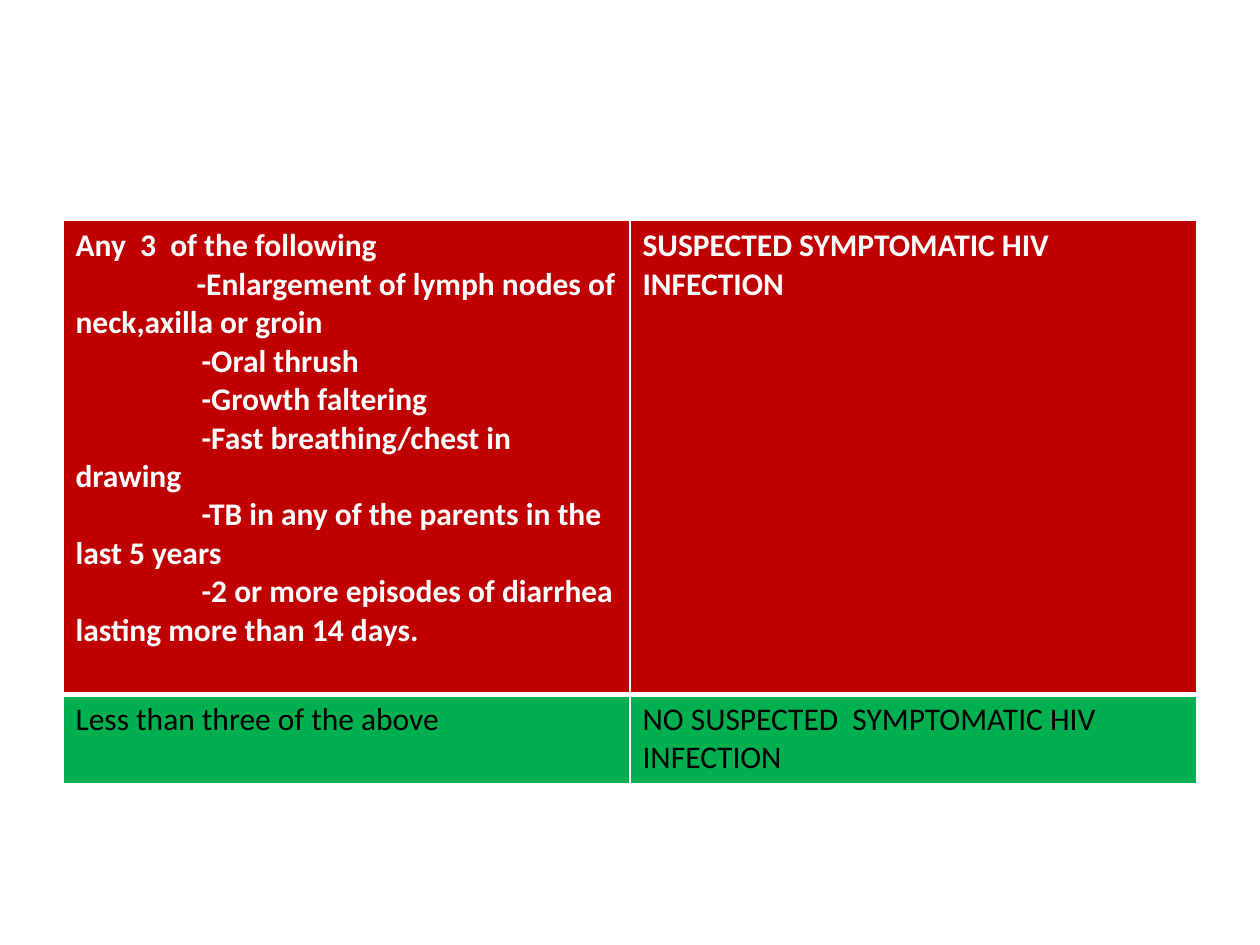
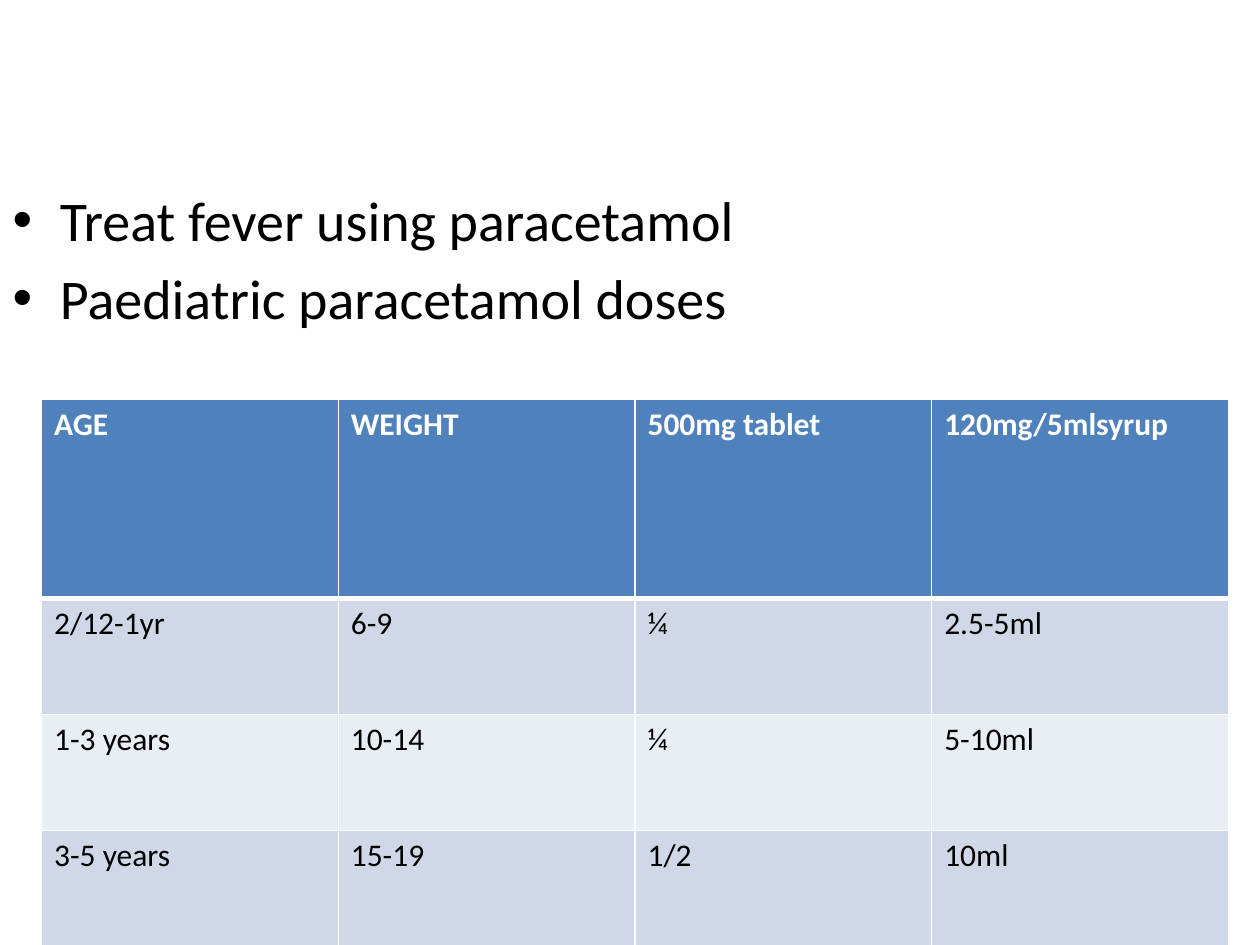
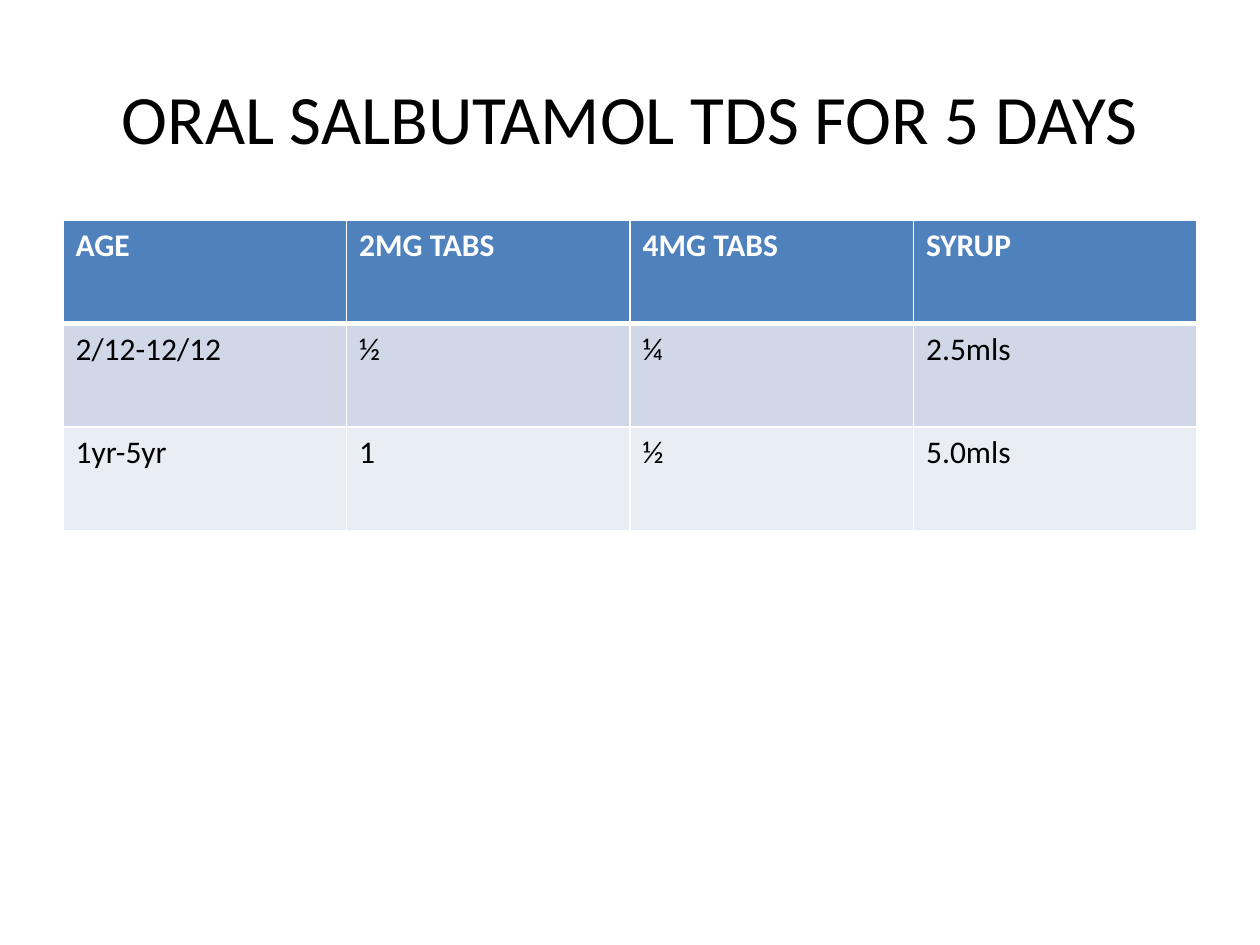
from lxml import etree
from pptx import Presentation
from pptx.dml.color import RGBColor
from pptx.enum.text import MSO_ANCHOR, MSO_AUTO_SIZE, PP_ALIGN
from pptx.oxml.ns import qn
from pptx.util import Inches, Pt

# Shared style
FONT = "Calibri"
BLACK = RGBColor(0x00, 0x00, 0x00)
WHITE = RGBColor(0xFF, 0xFF, 0xFF)
RED = RGBColor(0xC0, 0x00, 0x00)
GREEN = RGBColor(0x00, 0xB0, 0x50)
BLUE = RGBColor(0x4F, 0x81, 0xBD)
BANDS = [RGBColor(0xD0, 0xD8, 0xE8), RGBColor(0xE9, 0xED, 0xF4)]
HEAD_TEXT = dict(name=FONT, size=Pt(18), bold=True)
CELL_TEXT = dict(name=FONT, size=Pt(18), bold=False)
BODY_TEXT = dict(name=FONT, size=Pt(32))
TITLE_TEXT = dict(name=FONT, size=Pt(39.6))
THIN, THICK = 1, 3
LAYOUT_CONTENT, LAYOUT_TITLE_ONLY, LAYOUT_BLANK = 1, 5, 6

# Content: a cell is a string or a list of (first-line indent, text)
HIV_SIGNS = [
    (0, "Any  3  of the following"),
    (0.96, "-Enlargement of lymph nodes of neck,axilla or groin"),
    (1, "-Oral thrush"),
    (1, "-Growth faltering"),
    (1, "-Fast breathing/chest in drawing"),
    (1, "-TB in any of the parents in the last 5 years"),
    (1, "-2 or more episodes of diarrhea lasting more than 14 days."),
]
HIV_ROWS = [
    [HIV_SIGNS, "SUSPECTED SYMPTOMATIC HIV INFECTION"],
    ["Less than three of the above", "NO SUSPECTED  SYMPTOMATIC HIV INFECTION"],
]
FEVER_POINTS = ["Treat fever using paracetamol", "Paediatric paracetamol doses"]
PARACETAMOL_ROWS = [
    ["AGE", "WEIGHT", "500mg tablet", "120mg/5mlsyrup"],
    ["2/12-1yr", "6-9", "¼", "2.5-5ml"],
    ["1-3 years", "10-14", "¼", "5-10ml"],
    ["3-5 years", "15-19", "1/2", "10ml"],
]
SALBUTAMOL_TITLE = "ORAL SALBUTAMOL TDS FOR 5 DAYS"
SALBUTAMOL_ROWS = [
    ["AGE", "2MG TABS", "4MG TABS", "SYRUP"],
    ["2/12-12/12", "½", "¼", "2.5mls"],
    ["1yr-5yr", "1", "½", "5.0mls"],
]


def format_font(p, style, color):
    for name, value in style.items():
        setattr(p.font, name, value)
    p.font.color.rgb = color


def place(sp, left, top, width, height):
    sp.left, sp.top = Inches(left), Inches(top)
    sp.width, sp.height = Inches(width), Inches(height)


def set_borders(cell, top, bottom):
    tc_pr = cell._tc.get_or_add_tcPr()
    sides = {"a:lnL": THIN, "a:lnR": THIN, "a:lnT": top, "a:lnB": bottom}
    for i, (tag, width) in enumerate(sides.items()):
        ln = etree.Element(qn(tag), w=str(Pt(width)))
        fill = etree.SubElement(ln, qn("a:solidFill"))
        etree.SubElement(fill, qn("a:srgbClr"), val=str(WHITE))
        tc_pr.insert(i, ln)


def fill_cell(cell, content, style, color):
    lines = [(0, content)] if isinstance(content, str) else content
    tf = cell.text_frame
    for i, (indent, text) in enumerate(lines):
        p = tf.paragraphs[0] if i == 0 else tf.add_paragraph()
        if indent:
            p_pr = p._p.get_or_add_pPr()
            p_pr.set("marL", "0")
            p_pr.set("indent", str(Inches(indent)))
        p.add_run().text = text
        for r in p.runs:
            format_font(r, style, color)


def add_grid(s, rows, left, top, width, heights, head_fill, row_fills):
    """Add a table with equal columns, a header row and cycling row fills."""
    n_cols = len(rows[0])
    table = s.shapes.add_table(len(rows), n_cols, Inches(left), Inches(top),
                               Inches(width), Inches(sum(heights))).table
    for col in table.columns:
        col.width = Inches(width / n_cols)
    for i, (row, height) in enumerate(zip(rows, heights)):
        table.rows[i].height = Inches(height)
        head = i == 0
        for j, content in enumerate(row):
            cell = table.cell(i, j)
            cell.fill.solid()
            cell.fill.fore_color.rgb = head_fill if head else row_fills[(i - 1) % len(row_fills)]
            set_borders(cell, THICK if i == 1 else THIN, THICK if head else THIN)
            fill_cell(cell, content, HEAD_TEXT if head else CELL_TEXT, WHITE if head else BLACK)


def add_slide(prs, layout):
    return prs.slides.add_slide(prs.slide_layouts[layout])


def hiv_slide(prs):
    s = add_slide(prs, LAYOUT_BLANK)
    add_grid(s, HIV_ROWS, 0.5, 1.75, 9, [3.76, 0.7], RED, [GREEN])


def paracetamol_slide(prs):
    s = add_slide(prs, LAYOUT_CONTENT)
    title = s.shapes.title
    title.element.getparent().remove(title.element)
    body = s.placeholders[1]
    place(body, 0, 1.42, 9.83, 6.08)
    tf = body.text_frame
    tf.auto_size = MSO_AUTO_SIZE.NONE
    for i, text in enumerate(FEVER_POINTS):
        p = tf.paragraphs[0] if i == 0 else tf.add_paragraph()
        p.text = text
        format_font(p, BODY_TEXT, BLACK)
    tf.paragraphs[0].space_before = Pt(0)
    add_grid(s, PARACETAMOL_ROWS, 0.33, 3.17, 9.42, [1.58] + [0.92] * 3, BLUE, BANDS)


def salbutamol_slide(prs):
    s = add_slide(prs, LAYOUT_TITLE_ONLY)
    title = s.shapes.title
    place(title, 0.5, 0.3, 9, 1.25)
    tf = title.text_frame
    tf.text = SALBUTAMOL_TITLE
    tf.auto_size = MSO_AUTO_SIZE.NONE
    tf.vertical_anchor = MSO_ANCHOR.MIDDLE
    p = tf.paragraphs[0]
    p.alignment = PP_ALIGN.CENTER
    format_font(p, TITLE_TEXT, BLACK)
    add_grid(s, SALBUTAMOL_ROWS, 0.5, 1.75, 9, [0.82] * 3, BLUE, BANDS)


def main():
    prs = Presentation()
    prs.slide_width, prs.slide_height = Inches(10), Inches(7.5)
    hiv_slide(prs)
    paracetamol_slide(prs)
    salbutamol_slide(prs)
    prs.save("out.pptx")


if __name__ == "__main__":
    main()
